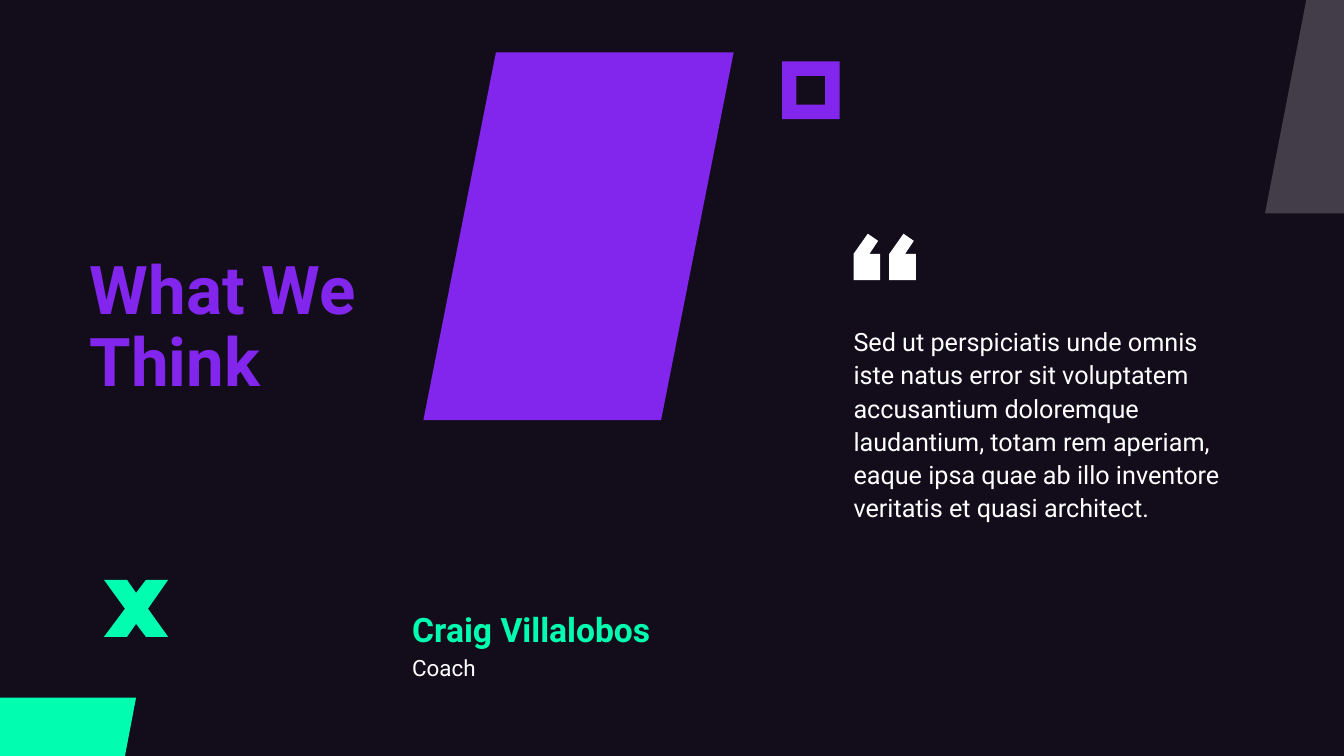
from dataclasses import dataclass

from lxml import etree
from pptx import Presentation
from pptx.dml.color import RGBColor as RGB
from pptx.enum.shapes import MSO_SHAPE as SHAPE
from pptx.enum.text import MSO_ANCHOR as ANCHOR
from pptx.oxml.ns import qn
from pptx.util import Cm, Pt


@dataclass(frozen=True)
class Theme:
    font: str = "Roboto"
    night: RGB = RGB(0x13, 0x0D, 0x1B)
    purple: RGB = RGB(0x82, 0x26, 0xEE)
    green: RGB = RGB(0x01, 0xFD, 0xB0)
    white: RGB = RGB(0xFF, 0xFF, 0xFF)
    title: int = 48
    name: int = 24
    body: int = 18
    role: int = 16


theme = Theme()


def add_outline(shapes, points, color):
    """Draw a closed, filled polygon from points in centimetres."""
    points = [(Cm(x), Cm(y)) for x, y in points]
    builder = shapes.build_freeform(*points[0])
    builder.add_line_segments(points[1:], close=True)
    sp = builder.convert_to_shape()
    sp.shadow.inherit = False
    sp.fill.solid()
    sp.fill.fore_color.rgb = color
    sp.line.fill.background()
    return sp


def add_text(text, box, size, color, bold=False, anchor=ANCHOR.TOP, spacing=1.1):
    tf = s.shapes.add_textbox(*map(Cm, box)).text_frame
    tf.word_wrap = True
    tf.vertical_anchor = anchor
    tf.margin_left = tf.margin_top = tf.margin_right = tf.margin_bottom = 0
    p = tf.paragraphs[0]
    p.text = text
    p.line_spacing = spacing
    for r in p.runs:
        r.font.name = theme.font
        r.font.size = Pt(size)
        r.font.bold = bold
        r.font.color.rgb = color


prs = Presentation()
prs.slide_width, prs.slide_height = Cm(33.87), Cm(19.05)
s = prs.slides.add_slide(prs.slide_layouts[6])
s.background.fill.solid()
s.background.fill.fore_color.rgb = theme.night

# Purple panel and square frame
for kind, box, adjustment in [
    (SHAPE.PARALLELOGRAM, (10.67, 1.32, 7.82, 9.27), 0.234),
    (SHAPE.FRAME, (19.71, 1.55, 1.45, 1.45), 0.25),
]:
    sp = s.shapes.add_shape(kind, *map(Cm, box))
    sp.adjustments[0] = adjustment
    sp.shadow.inherit = False
    sp.fill.solid()
    sp.fill.fore_color.rgb = theme.purple
    sp.line.fill.background()

# Green cross and corner pieces
cross = [
    (2.62, 14.61), (3.2, 14.61), (3.43, 14.94), (3.68, 14.61),
    (4.24, 14.61), (3.73, 15.34), (4.24, 16.05), (3.68, 16.05),
    (3.43, 15.72), (3.2, 16.05), (2.62, 16.05), (3.15, 15.34),
]
add_outline(s.shapes, cross, theme.green)
add_outline(s.shapes, [(0, 19.05), (3.15, 19.05), (3.43, 17.58), (0, 17.58)], theme.green)
corner = add_outline(
    s.shapes, [(33.87, 5.38), (31.88, 5.38), (32.92, 0), (33.87, 0)], theme.white
)
color_xml = corner.fill._xPr.find(qn("a:solidFill"))[0]
etree.SubElement(color_xml, qn("a:alpha"), val="20000")

# Opening quotation mark
quote_mark = s.shapes.add_group_shape()
tick = [
    (0.67, 1.17), (0, 1.17), (0, 0.51), (0.36, 0),
    (0.62, 0.18), (0.4, 0.51), (0.67, 0.51),
]
for left in (21.51, 22.41):
    add_outline(quote_mark.shapes, [(left + x, 5.89 + y) for x, y in tick], theme.white)

add_text("What We Think", (2.26, 4.39, 9.09, 5.72), theme.title, theme.purple,
         bold=True, anchor=ANCHOR.BOTTOM, spacing=0.9)
quote = [
    "Sed ut perspiciatis unde omnis",
    "iste natus error sit voluptatem",
    "accusantium doloremque",
    "laudantium, totam rem aperiam,",
    "eaque ipsa quae ab illo inventore",
    "veritatis et quasi architect.",
]
add_text("\n".join(quote), (21.51, 8.15, 10.08, 8.03), theme.body, theme.white)
add_text("Coach", (10.39, 16.41, 8.26, 2.01), theme.role, theme.white)
add_text("Craig Villalobos", (10.39, 14.66, 8.26, 1.7), theme.name, theme.green,
         bold=True, anchor=ANCHOR.BOTTOM)

prs.save("out.pptx")
